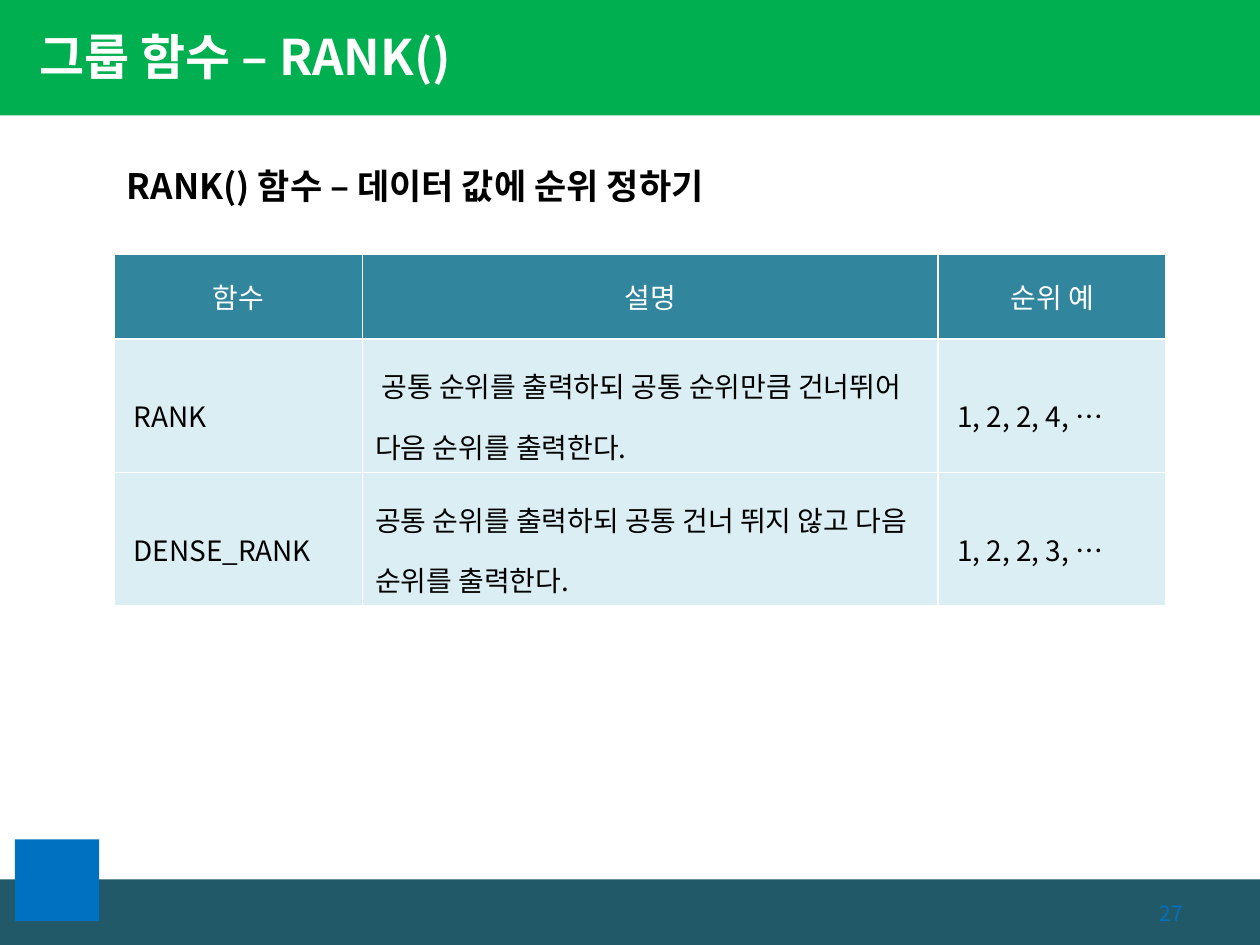
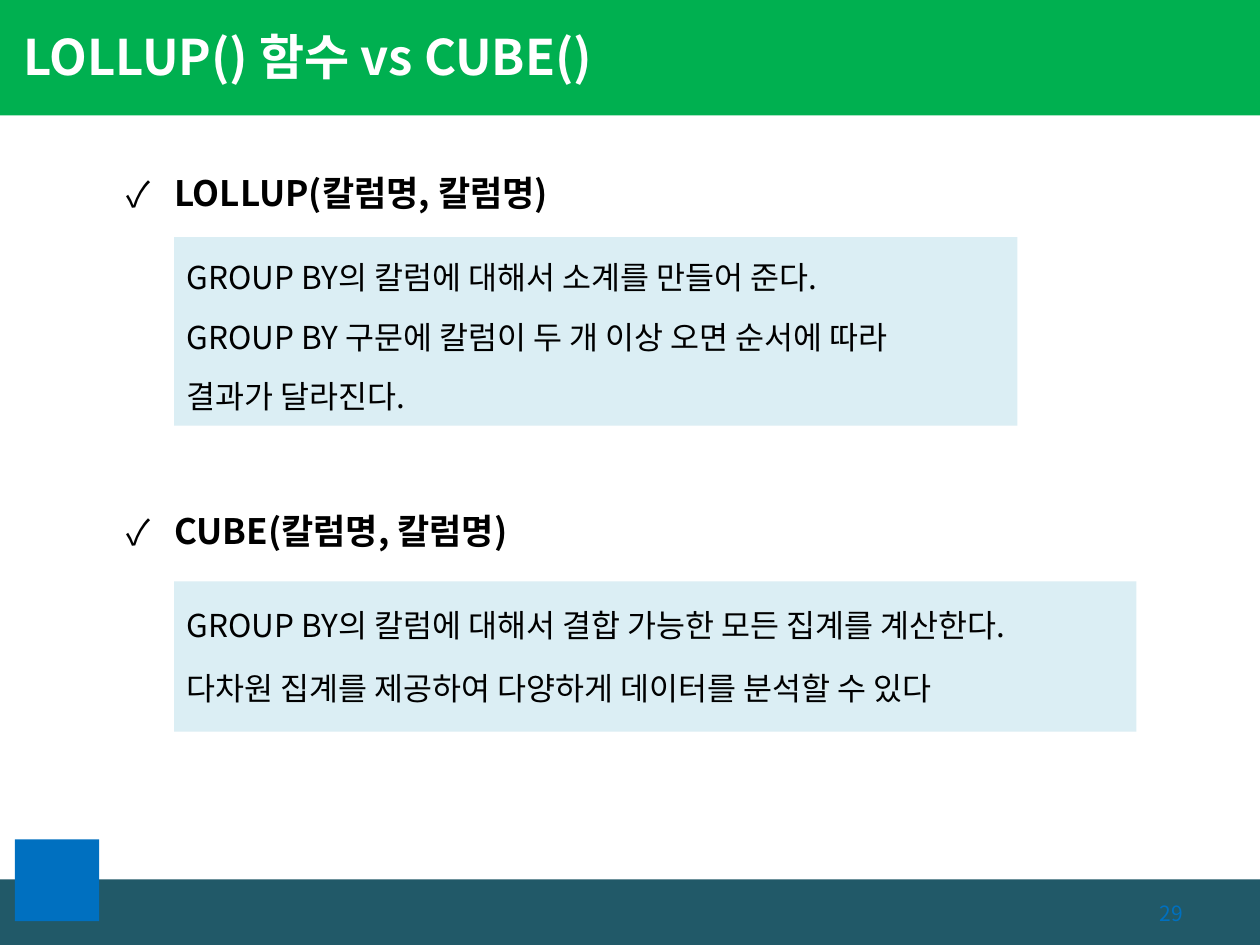
from lxml import etree
from pptx import Presentation
from pptx.dml.color import RGBColor
from pptx.enum.shapes import MSO_SHAPE
from pptx.enum.text import MSO_ANCHOR, PP_ALIGN
from pptx.oxml.ns import qn
from pptx.util import Cm, Pt

RECT = MSO_SHAPE.RECTANGLE
TOP, MIDDLE = MSO_ANCHOR.TOP, MSO_ANCHOR.MIDDLE
LEFT, CENTER, RIGHT = PP_ALIGN.LEFT, PP_ALIGN.CENTER, PP_ALIGN.RIGHT

FONT = "Noto Sans CJK KR"
WHITE = RGBColor(0xFF, 0xFF, 0xFF)
BLACK = RGBColor(0, 0, 0)
GREEN = RGBColor(0x00, 0xB0, 0x50)
BLUE = RGBColor(0x00, 0x70, 0xC0)
DARK_TEAL = RGBColor(0x21, 0x59, 0x68)
TEAL = RGBColor(0x31, 0x85, 0x9C)
PALE = RGBColor(0xDB, 0xEE, 0xF4)

SLIDE_W, SLIDE_H = 25.4, 19.05
BAND_H, FOOTER_Y = 2.33, 17.73
CONTENT_X, PANEL_X = 2.31, 3.51
SPACE_INDENT = 0.13

RANK_HEADING = "RANK() 함수 – 데이터 값에 순위 정하기"
RANK_COLS = [5.0, 11.6, 4.6]
RANK_ROW_HEIGHTS = [1.7, 2.69, 2.69]
RANK_HEADER = ["함수", "설명", "순위 예"]
RANK_ROWS = [
    [("RANK", SPACE_INDENT),
     ("공통 순위를 출력하되 공통 순위만큼 건너뛰어 다음 순위를 출력한다.", SPACE_INDENT),
     ("1, 2, 2, 4, …", SPACE_INDENT)],
    [("DENSE_RANK", SPACE_INDENT),
     ("공통 순위를 출력하되 공통 건너 뛰지 않고 다음 순위를 출력한다.", 0),
     ("1, 2, 2, 3, …", SPACE_INDENT)],
]

GROUPINGS = [
    dict(heading="LOLLUP(칼럼명, 칼럼명)", y=3.33, panel=(4.78, 17.0, 3.8), spacing=1.4,
         lines=["GROUP BY의 칼럼에 대해서 소계를 만들어 준다.",
                "GROUP BY 구문에 칼럼이 두 개 이상 오면 순서에 따라",
                "결과가 달라진다."]),
    dict(heading="CUBE(칼럼명, 칼럼명)", y=10.14, panel=(11.72, 19.4, 3.03), spacing=1.5,
         lines=["GROUP BY의 칼럼에 대해서 결합 가능한 모든 집계를 계산한다.",
                "다차원 집계를 제공하여 다양하게 데이터를 분석할 수 있다"]),
]


def write(p, text, size, color=BLACK, bold=False, align=LEFT):
    p.alignment = align
    r = p.add_run()
    r.text = text
    r.font.size = Pt(size)
    r.font.name = FONT
    r.font.bold = bold
    r.font.color.rgb = color
    etree.SubElement(r._r.get_or_add_rPr(), qn("a:ea")).set("typeface", FONT)


def indent(p, first, left=0):
    pPr = p._p.get_or_add_pPr()
    pPr.set("marL", str(Cm(left)))
    pPr.set("indent", str(Cm(first)))
    return pPr


def add_rect(s, x, y, w, h, fill):
    sp = s.shapes.add_shape(RECT, Cm(x), Cm(y), Cm(w), Cm(h))
    sp.shadow.inherit = False
    sp.fill.solid()
    sp.fill.fore_color.rgb = fill
    sp.line.fill.background()
    return sp


def add_text(s, x, y, w, h, text, size, color=BLACK, bold=False, align=LEFT,
             anchor=TOP, inset=0.25):
    tf = s.shapes.add_textbox(Cm(x), Cm(y), Cm(w), Cm(h)).text_frame
    tf.word_wrap = True
    tf.vertical_anchor = anchor
    tf.margin_left = Cm(inset)
    tf.margin_right = Cm(0)
    p = tf.paragraphs[0]
    write(p, text, size, color, bold, align)
    return p


def add_slide(prs, title, title_inset, number):
    s = prs.slides.add_slide(prs.slide_layouts[6])
    add_rect(s, 0, FOOTER_Y, SLIDE_W, SLIDE_H - FOOTER_Y, DARK_TEAL)
    add_rect(s, 0.3, 16.92, 1.7, 1.65, BLUE)
    add_rect(s, 0, 0, SLIDE_W, BAND_H, GREEN)
    add_text(s, 0, 0, 15.9, 2.25, title, 28, WHITE, True, anchor=MIDDLE, inset=title_inset)
    add_text(s, 21.3, FOOTER_Y + 0.04, 2.55, SLIDE_H - FOOTER_Y - 0.04, number, 12, BLUE,
             align=RIGHT, anchor=MIDDLE)
    return s


def style_cell(cell, fill):
    tcPr = cell._tc.get_or_add_tcPr()
    for side in "LRTB":
        ln = etree.SubElement(tcPr, qn("a:ln" + side), w=str(Pt(1)))
        solid = etree.SubElement(ln, qn("a:solidFill"))
        etree.SubElement(solid, qn("a:srgbClr"), val=str(WHITE))
    cell.fill.solid()
    cell.fill.fore_color.rgb = fill
    cell.vertical_anchor = MIDDLE


def add_rank_table(s):
    table = s.shapes.add_table(len(RANK_ROW_HEIGHTS), len(RANK_COLS), Cm(CONTENT_X), Cm(5.13),
                               Cm(sum(RANK_COLS)), Cm(sum(RANK_ROW_HEIGHTS))).table
    for column, width in zip(table.columns, RANK_COLS):
        column.width = Cm(width)
    for row, height in zip(table.rows, RANK_ROW_HEIGHTS):
        row.height = Cm(height)
    for c, text in enumerate(RANK_HEADER):
        cell = table.cell(0, c)
        style_cell(cell, TEAL)
        write(cell.text_frame.paragraphs[0], text, 16, WHITE, align=CENTER)
    for r, row in enumerate(RANK_ROWS, 1):
        for c, (text, first) in enumerate(row):
            cell = table.cell(r, c)
            style_cell(cell, PALE)
            p = cell.text_frame.paragraphs[0]
            indent(p, first)
            p.line_spacing = 1.5
            write(p, text, 16)


def add_grouping(s, heading, y, panel, spacing, lines):
    p = add_text(s, CONTENT_X, y, 15, 1.11, heading, 20, bold=True)
    pPr = indent(p, -0.95, 0.95)
    etree.SubElement(pPr, qn("a:buFont"), typeface=FONT)
    etree.SubElement(pPr, qn("a:buChar"), char="✓")
    panel_y, w, h = panel
    tf = add_rect(s, PANEL_X, panel_y, w, h, PALE).text_frame
    tf.word_wrap = True
    tf.vertical_anchor = TOP
    for i, line in enumerate(lines):
        p = tf.add_paragraph() if i else tf.paragraphs[0]
        p.line_spacing = spacing
        if i:
            p.space_before = Pt(3.6)
        write(p, line, 18)


def main():
    prs = Presentation()
    prs.slide_width, prs.slide_height = Cm(SLIDE_W), Cm(SLIDE_H)

    s = add_slide(prs, "그룹 함수 – RANK()", 0.8, "27")
    add_text(s, CONTENT_X, 3.2, 17, 1.11, RANK_HEADING, 20, bold=True)
    add_rank_table(s)

    s = add_slide(prs, "LOLLUP() 함수 vs CUBE()", 0.47, "29")
    for grouping in GROUPINGS:
        add_grouping(s, **grouping)

    prs.save("out.pptx")


if __name__ == "__main__":
    main()
